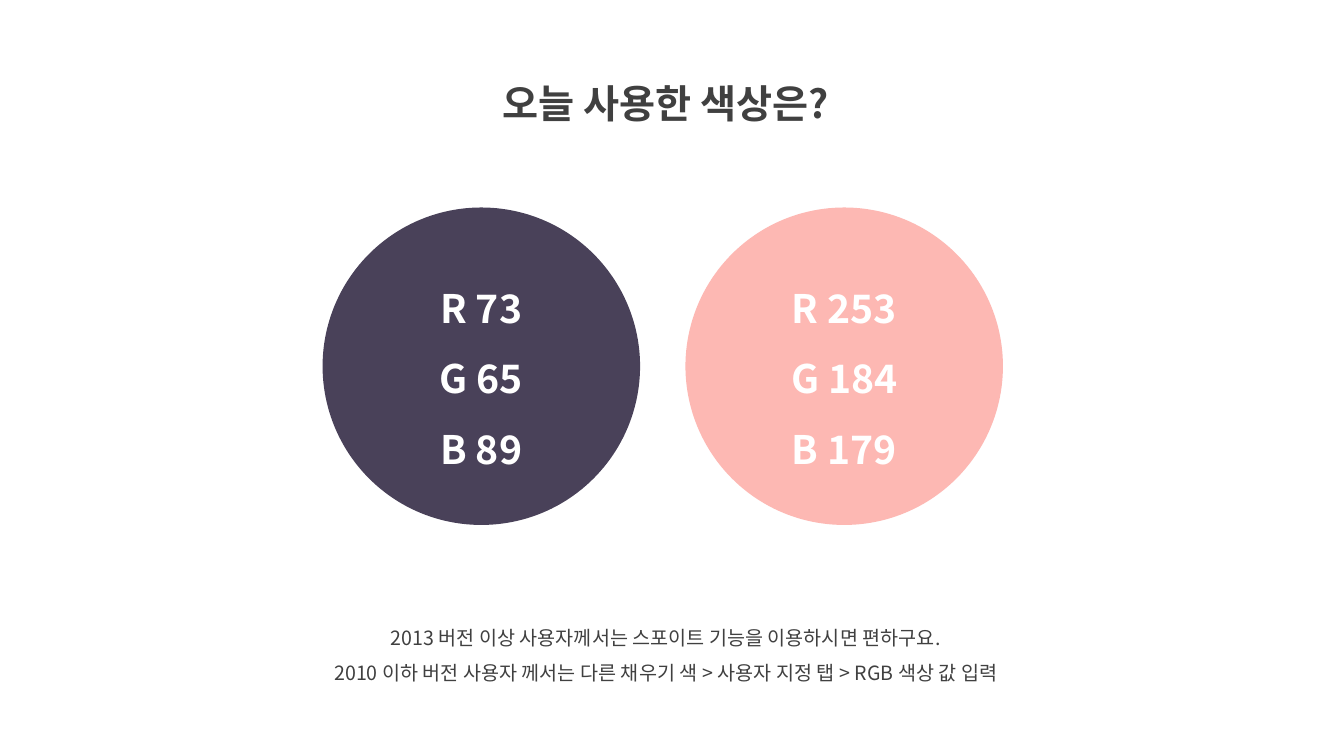
from lxml.etree import SubElement
from pptx import Presentation
from pptx.dml.color import RGBColor as RGB
from pptx.enum.shapes import MSO_SHAPE as Shape
from pptx.enum.text import MSO_ANCHOR as Anchor, MSO_AUTO_SIZE as Auto, PP_ALIGN as Align
from pptx.oxml.ns import qn
from pptx.util import Pt

FACE = "Noto Sans CJK KR"
GRAY = RGB(64, 64, 64)
WHITE = RGB(255, 255, 255)
NAVY = RGB(73, 65, 89)
PINK = RGB(253, 184, 179)

TITLE = ["오늘 사용한 색상은?"]
NOTES = [
    "2013 버전 이상 사용자께서는 스포이트 기능을 이용하시면 편하구요.",
    "2010 이하 버전 사용자 께서는 다른 채우기 색 > 사용자 지정 탭 > RGB 색상 값 입력",
]
TONES = [NAVY, PINK]

BIG = {"size": Pt(28), "bold": True}
SMALL = {"size": Pt(14), "bold": False}
TEXTS = [
    (TITLE, (308.9, 36, 333.4, 51.8), BIG),
    (NOTES, (187.9, 434.9, 575.3, 58.3), SMALL),
]
LEFT, TOP, SIZE, GAP = 230.4, 148.2, 226.8, 32.4


def write(frame, lines, look):
    """Fill a text frame with centred lines in one look."""
    frame.word_wrap = True
    for i, line in enumerate(lines):
        para = frame.paragraphs[0] if i == 0 else frame.add_paragraph()
        para.alignment = Align.CENTER
        para.line_spacing = 1.5
        run = para.add_run()
        run.text = line
        color = look["color"]
        run.font.color.rgb = color
        for key in ("size", "bold"):
            setattr(run.font, key, look[key])
        run.font.name = FACE
        SubElement(run._r.get_or_add_rPr(), qn("a:ea"), typeface=FACE)


def add_text(slide, lines, box, look):
    """Add a text box that grows with its lines."""
    frame = slide.shapes.add_textbox(*map(Pt, box)).text_frame
    write(frame, lines, {**look, "color": GRAY})
    frame.auto_size = Auto.SHAPE_TO_FIT_TEXT


def add_disc(slide, left, tone):
    """Add a circle in a tone, labelled with its RGB values."""
    disc = slide.shapes.add_shape(Shape.OVAL, *map(Pt, (left, TOP, SIZE, SIZE)))
    disc.shadow.inherit = False
    disc.fill.solid()
    disc.fill.fore_color.rgb = tone
    disc.line.fill.background()
    disc.text_frame.vertical_anchor = Anchor.MIDDLE
    lines = [f"{name} {value}" for name, value in zip("RGB", tone)]
    write(disc.text_frame, lines, {**BIG, "color": WHITE})


deck = Presentation()
deck.slide_width, deck.slide_height = Pt(960), Pt(540)
slide = deck.slides.add_slide(deck.slide_layouts[6])
for lines, box, look in TEXTS:
    add_text(slide, lines, box, look)
for i, tone in enumerate(TONES):
    add_disc(slide, LEFT + i * (SIZE + GAP), tone)
deck.save("out.pptx")
